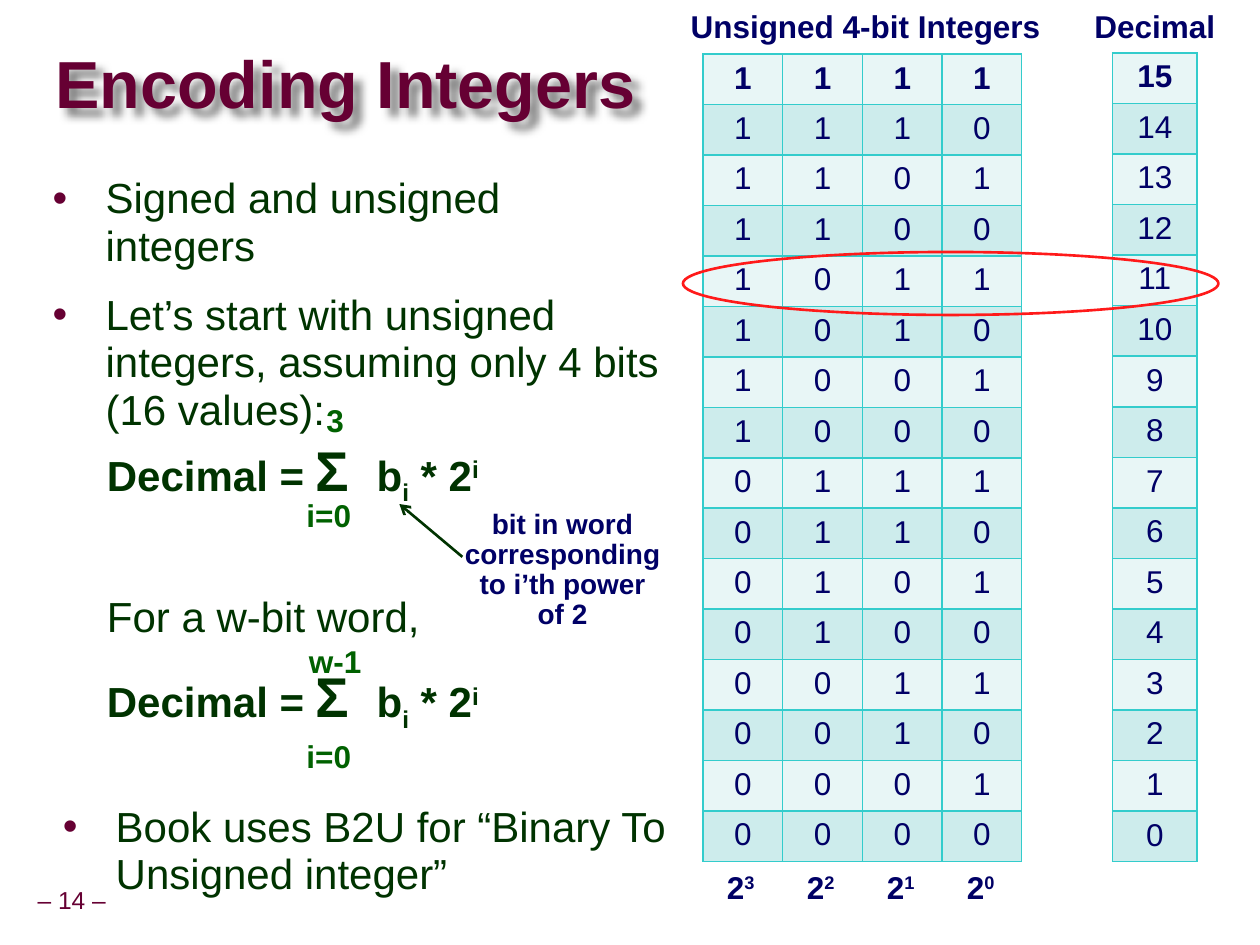
from dataclasses import dataclass

import pptx
import pptx.dml.color
import pptx.enum.shapes
import pptx.enum.text
import pptx.oxml
import pptx.oxml.ns
import pptx.util

Inches = pptx.util.Inches
Pt = pptx.util.Pt
Align = pptx.enum.text.PP_ALIGN
Fit = pptx.enum.text.MSO_AUTO_SIZE
Anchor = pptx.enum.text.MSO_ANCHOR

FONT = "Arial"
COLORS = {
    "maroon": "660033", "body": "003300", "navy": "000066", "limit": "006100",
    "light": "E8F6F6", "band": "CDECEC", "border": "33CCCC", "ring": "FF1A1A",
}
BITS = 4
VALUES = list(range(2 ** BITS - 1, -1, -1))
HANGING = 0.42


@dataclass
class Span:
    text: str
    size: float = 24
    bold: bool = False
    color: str = "body"
    baseline: int = 0


@dataclass
class Para:
    spans: list[Span]
    bullet: bool = False
    space_before: float = 0


@dataclass
class Label:
    """Short bold centred lines at left, top, width, height."""
    place: tuple[float, float, float, float]
    lines: list[str]
    size: float = 18
    color: str = "navy"


FORMULA = [
    Span("Decimal = ", bold=True), Span("Σ ", 32, True), Span(" b", bold=True),
    Span("i", bold=True, baseline=-25), Span(" * 2", bold=True),
    Span("i", bold=True, baseline=30),
]

BODY_TEXTS = [
    ((0.32, 1.34, 5.02, 2.25), [
        Para([Span("Signed and unsigned integers")], True),
        Para([Span("Let’s start with unsigned integers, assuming only 4 bits (16 values):")],
             True, 12),
    ]),
    ((0.33, 3.42, 5.02, 1.17), [Para(FORMULA)]),
    ((0.33, 4.67, 5.02, 1.33), [
        Para([Span("For a w-bit word,")]), Para(FORMULA, space_before=12)]),
    ((0.4, 6.33, 5.02, 0.75), [
        Para([Span("Book uses B2U for “Binary To Unsigned integer”")], True)]),
]

LABELS = [
    Label((8.58, 0.04, 1.17, 0.38), ["Decimal"]),
    Label((4.83, 0.04, 4.08, 0.38), ["Unsigned 4-bit Integers"]),
    Label((2.33, 3.92, 0.56, 0.38), ["i=0"], color="limit"),
    Label((2.49, 3.17, 0.34, 0.38), ["3"], color="limit"),
    Label((3.58, 4, 1.77, 1.07),
          ["bit in word", "corresponding", "to i’th power", "of 2"], 16),
    Label((2.33, 5.83, 0.56, 0.38), ["i=0"], color="limit"),
    Label((2.35, 5.08, 0.62, 0.38), ["w-1"], color="limit"),
]


def rgb(name: str) -> pptx.dml.color.RGBColor:
    return pptx.dml.color.RGBColor.from_string(COLORS[name])


def add_xml(parent, xml: str) -> None:
    """Append a drawing element, given without its namespace declaration."""
    head, mark, rest = xml.partition(">")
    slash = "/" if head.endswith("/") else ""
    head = head.rstrip("/") + " " + pptx.oxml.ns.nsdecls("a") + slash
    parent.append(pptx.oxml.parse_xml(head + mark + rest))


def add_span(para, span: Span) -> None:
    run = para.add_run()
    run.text = span.text
    run.font.name = FONT
    run.font.size = Pt(span.size)
    run.font.bold = span.bold
    run.font.color.rgb = rgb(span.color)
    if span.baseline:
        run._r.get_or_add_rPr().set("baseline", str(span.baseline * 1000))


def add_box(page, place, wrap: bool = True, fit=Fit.NONE):
    box = page.shapes.add_textbox(*map(Inches, place))
    box.text_frame.word_wrap = wrap
    box.text_frame.auto_size = fit
    return box


def next_para(frame, index: int):
    return frame.add_paragraph() if index else frame.paragraphs[0]


def add_body(page, place, paras: list[Para]) -> None:
    frame = add_box(page, place).text_frame
    for index, item in enumerate(paras):
        para = next_para(frame, index)
        para.line_spacing = 0.95
        if item.space_before:
            para.space_before = Pt(item.space_before)
        properties = para._p.get_or_add_pPr()
        properties.set("marL", str(Inches(HANGING)))
        properties.set("indent", str(-Inches(HANGING) if item.bullet else 0))
        if item.bullet:
            add_xml(properties, f'<a:buClr><a:srgbClr val="{COLORS["maroon"]}"/></a:buClr>')
            add_xml(properties, f'<a:buFont typeface="{FONT}"/>')
            add_xml(properties, '<a:buChar char="•"/>')
        for span in item.spans:
            add_span(para, span)


def add_label(page, label: Label) -> None:
    frame = add_box(page, label.place, False, Fit.SHAPE_TO_FIT_TEXT).text_frame
    for index, line in enumerate(label.lines):
        para = next_para(frame, index)
        para.alignment = Align.CENTER
        para.line_spacing = 0.9
        add_span(para, Span(line, label.size, True, label.color))


def add_powers(page) -> None:
    """Powers of two, one under each bit column."""
    para = add_box(page, (5.67, 6.87, 2.58, 0.38)).text_frame.paragraphs[0]
    para.line_spacing = 0.9
    stops = "".join(f'<a:tab pos="{Inches(0.635 * column)}" algn="l"/>'
                    for column in range(1, BITS))
    add_xml(para._p.get_or_add_pPr(), f"<a:tabLst>{stops}</a:tabLst>")
    for power in reversed(range(BITS)):
        add_span(para, Span("2" if power == BITS - 1 else "\t2", 18, True, "navy"))
        add_span(para, Span(str(power), 18, True, "navy", 30))


def add_grid(page, place, rows: list[list[str]]) -> None:
    frame = page.shapes.add_table(len(rows), len(rows[0]), *map(Inches, place))
    table = frame.table
    table.first_row = table.horz_banding = False
    for row, texts in enumerate(rows):
        for column, text in enumerate(texts):
            cell = table.cell(row, column)
            for side in "LRTB":
                add_xml(cell._tc.get_or_add_tcPr(),
                        f'<a:ln{side} w="{Pt(1)}"><a:solidFill>'
                        f'<a:srgbClr val="{COLORS["border"]}"/></a:solidFill></a:ln{side}>')
            cell.fill.solid()
            cell.fill.fore_color.rgb = rgb("band" if row % 2 else "light")
            para = cell.text_frame.paragraphs[0]
            para.alignment = Align.CENTER
            add_span(para, Span(text, 18, row == 0, "navy"))


def add_title(page) -> None:
    title = page.shapes.title
    title.left, title.top, title.width, title.height = map(Inches, (0.44, 0.27, 9.53, 0.85))
    title.fill.background()
    add_xml(title._element.spPr,
            '<a:effectLst><a:outerShdw blurRad="63500" dist="71842" dir="2700000">'
            '<a:srgbClr val="000000"><a:alpha val="50000"/></a:srgbClr>'
            '</a:outerShdw></a:effectLst>')
    frame = title.text_frame
    frame.auto_size = Fit.NONE
    frame.vertical_anchor = Anchor.MIDDLE
    frame.margin_left = frame.margin_right = frame.margin_top = frame.margin_bottom = 0
    para = frame.paragraphs[0]
    para.alignment = Align.LEFT
    para.line_spacing = 0.87
    add_span(para, Span("Encoding Integers", 38, True, "maroon"))


def add_page_number(page) -> None:
    frame = add_box(page, (0.24, 7, 0.66, 0.31), False, Fit.SHAPE_TO_FIT_TEXT).text_frame
    frame.margin_left = frame.margin_right = Inches(0.05)
    frame.vertical_anchor = Anchor.MIDDLE
    para = frame.paragraphs[0]
    para.alignment = Align.CENTER
    para.line_spacing = 0.9
    add_span(para, Span("– 14 –", 14, color="maroon"))


def add_arrow(page) -> None:
    arrow = page.shapes.add_connector(pptx.enum.shapes.MSO_CONNECTOR.STRAIGHT,
                                      *map(Inches, (3.67, 4.42, 3.17, 4)))
    arrow.line.color.rgb = rgb("body")
    arrow.line.width = Pt(1.5)
    add_xml(arrow.line._get_or_add_ln(), '<a:tailEnd type="arrow"/>')
    add_xml(arrow._element.spPr, "<a:effectLst/>")


def add_ring(page) -> None:
    ring = page.shapes.add_shape(pptx.enum.shapes.MSO_SHAPE.OVAL,
                                 *map(Inches, (5.42, 2, 4.25, 0.5)))
    ring.shadow.inherit = False
    ring.fill.background()
    ring.line.color.rgb = rgb("ring")
    ring.line.width = Pt(1.5)


def main() -> None:
    deck = pptx.Presentation()
    deck.slide_width, deck.slide_height = Inches(10), Inches(7.5)
    page = deck.slides.add_slide(deck.slide_layouts[5])
    add_page_number(page)
    add_title(page)
    add_grid(page, (5.58, 0.43, 2.53, 6.4), [list(f"{value:0{BITS}b}") for value in VALUES])
    add_grid(page, (8.83, 0.42, 0.67, 6.42), [[str(value)] for value in VALUES])
    for place, paras in BODY_TEXTS:
        add_body(page, place, paras)
    for label in LABELS:
        add_label(page, label)
    add_powers(page)
    add_arrow(page)
    add_ring(page)
    deck.save("out.pptx")


if __name__ == "__main__":
    main()
